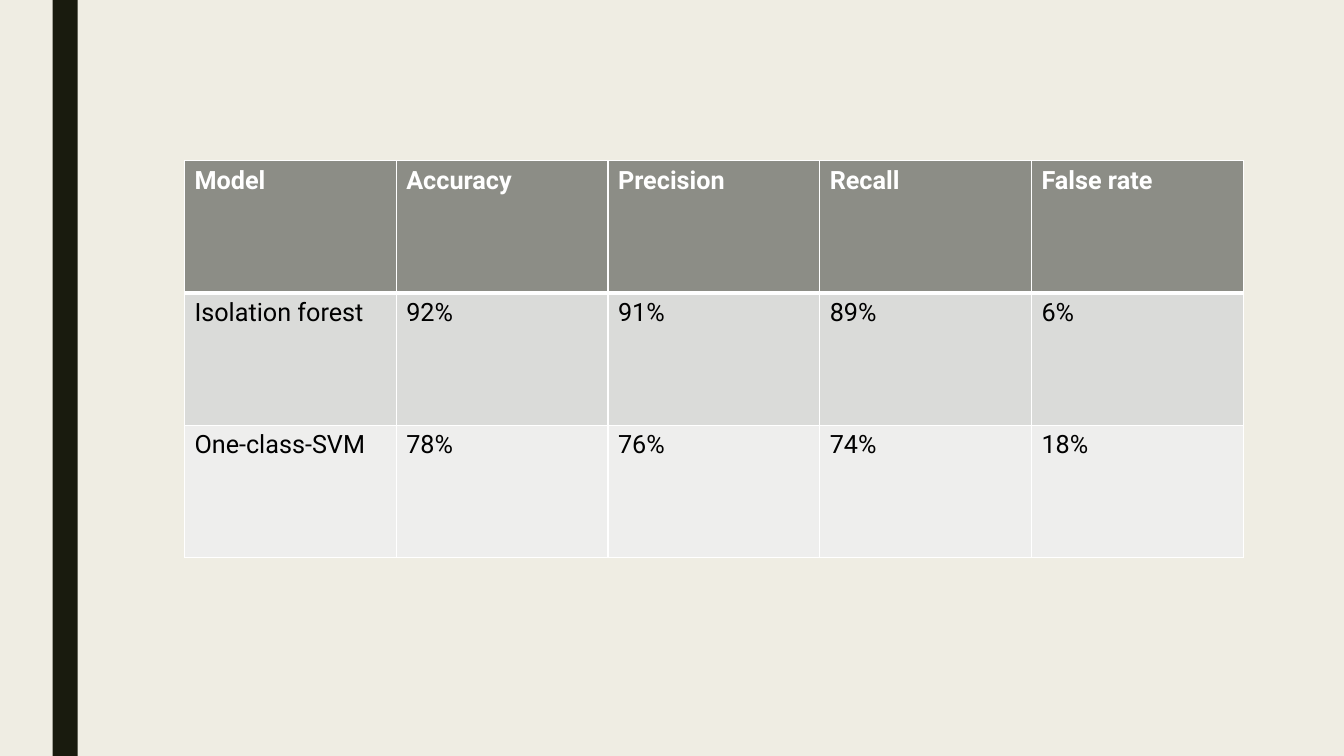
from lxml import etree
from pptx import Presentation
from pptx.dml.color import RGBColor
from pptx.enum.shapes import MSO_SHAPE
from pptx.oxml.ns import qn
from pptx.util import Pt

RECTANGLE = MSO_SHAPE.RECTANGLE
FONT = "Roboto"
COLORS = {
    "background": "EFEDE3",
    "stripe": "191B0E",
    "header": "8C8D86",
    "odd_row": "DADBD9",
    "even_row": "EEEEED",
    "border": "FFFFFF",
    "header_text": "FFFFFF",
    "body_text": "000000",
}
RESULTS = [
    ["Model", "Accuracy", "Precision", "Recall", "False rate"],
    ["Isolation forest", "92%", "91%", "89%", "6%"],
    ["One-class-SVM", "78%", "76%", "74%", "18%"],
]
ROW_FILLS = ["header", "odd_row", "even_row"]
COLUMN_WIDTH = 151.28
ROW_HEIGHT = 94.5
THIN, THICK = 1, 3


def color(name):
    return RGBColor.from_string(COLORS[name])


def write_text(frame, text, *, size=18, ink="body_text", bold=False):
    span = frame.paragraphs[0].add_run()
    span.text = text
    span.font.name = FONT
    span.font.size = Pt(size)
    span.font.bold = bold
    span.font.color.rgb = color(ink)


def add_bar(page, left, top, width, height, fill):
    bar = page.shapes.add_shape(RECTANGLE, Pt(left), Pt(top), Pt(width), Pt(height))
    bar.shadow.inherit = False
    bar.fill.solid()
    bar.fill.fore_color.rgb = color(fill)
    bar.line.fill.background()


def set_borders(cell, left=THIN, right=THIN, top=THIN, bottom=THIN):
    properties = cell._tc.get_or_add_tcPr()
    sides = {"a:lnL": left, "a:lnR": right, "a:lnT": top, "a:lnB": bottom}
    for tag, width in sides.items():
        line = etree.SubElement(properties, qn(tag), w=str(Pt(width)))
        fill = etree.SubElement(line, qn("a:solidFill"))
        etree.SubElement(fill, qn("a:srgbClr"), val=COLORS["border"])


def add_results_table(page, left, top):
    row_count, column_count = len(RESULTS), len(RESULTS[0])
    table = page.shapes.add_table(
        row_count, column_count, Pt(left), Pt(top),
        Pt(COLUMN_WIDTH * column_count), Pt(ROW_HEIGHT * row_count),
    ).table
    for column in table.columns:
        column.width = Pt(COLUMN_WIDTH)
    for index, (row, values) in enumerate(zip(table.rows, RESULTS)):
        row.height = Pt(ROW_HEIGHT)
        is_header = index == 0
        for cell, value in zip(row.cells, values):
            # Borders precede the fill in the cell properties
            set_borders(
                cell,
                top=THICK if index == 1 else THIN,
                bottom=THICK if is_header else THIN,
            )
            cell.fill.solid()
            cell.fill.fore_color.rgb = color(ROW_FILLS[index])
            ink = "header_text" if is_header else "body_text"
            write_text(cell.text_frame, value, ink=ink, bold=is_header)


def main():
    deck = Presentation()
    deck.slide_width, deck.slide_height = Pt(960), Pt(540)
    page = deck.slides.add_slide(deck.slide_layouts[6])

    # Background and side stripe
    page.background.fill.solid()
    page.background.fill.fore_color.rgb = color("background")
    add_bar(page, 37.5, 0, 18, 540, "stripe")

    # Model comparison
    add_results_table(page, 131.75, 114.75)

    deck.save("out.pptx")


if __name__ == "__main__":
    main()
